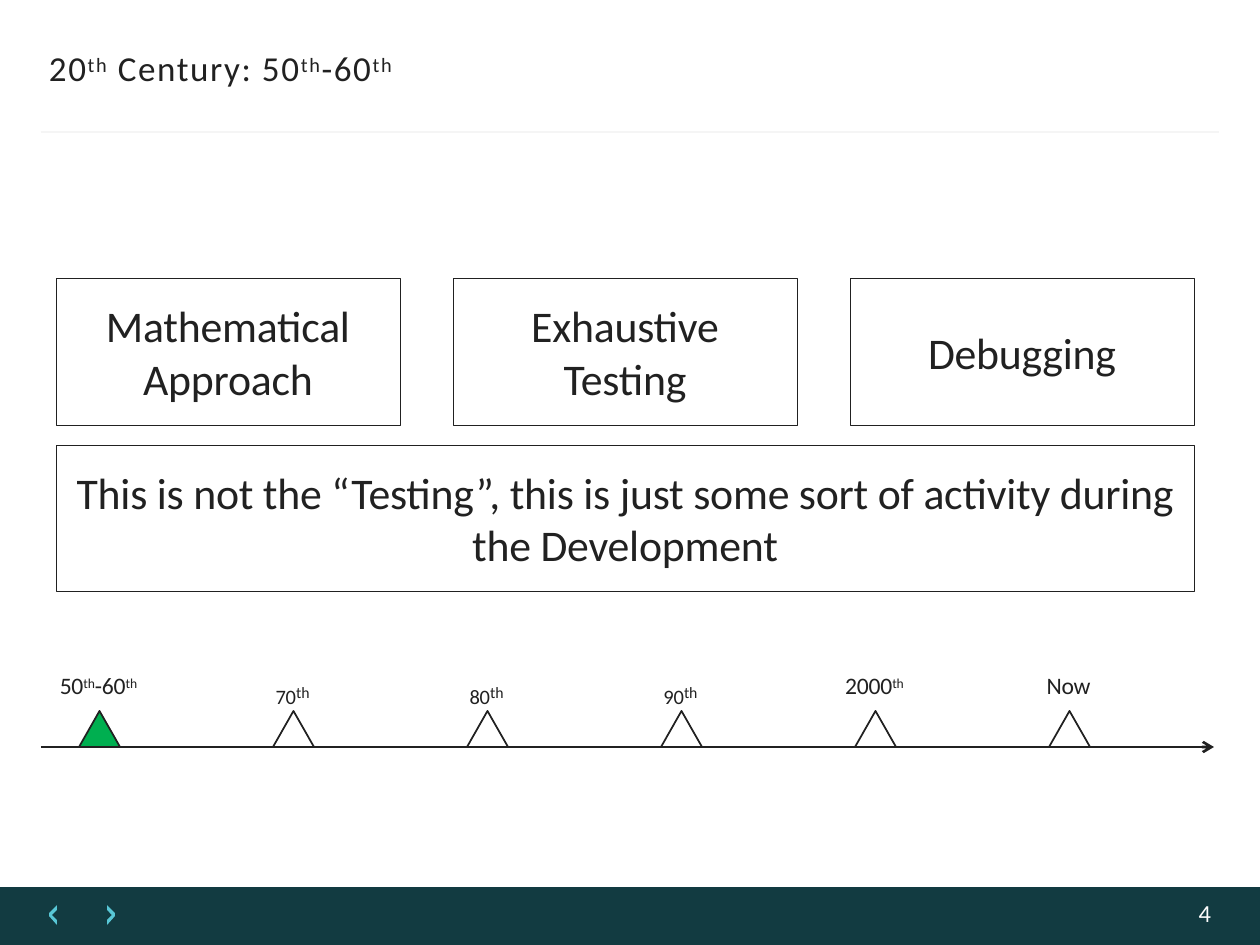
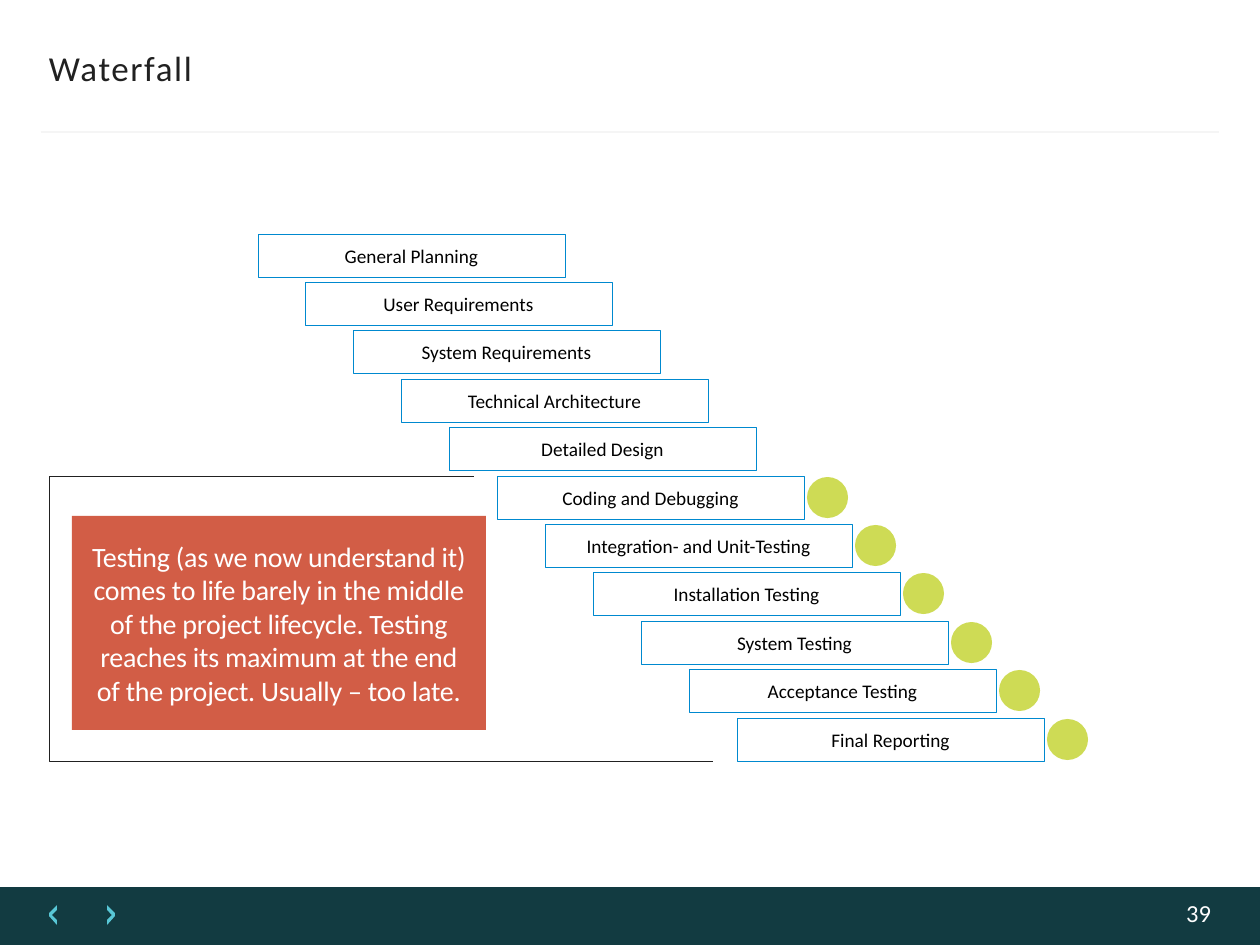
"""Build two software-testing slides: a history timeline and the waterfall model."""
from dataclasses import dataclass

from lxml.etree import SubElement
from pptx import Presentation
from pptx.dml.color import RGBColor
from pptx.enum.dml import MSO_LINE
from pptx.enum.shapes import MSO_CONNECTOR, MSO_SHAPE
from pptx.enum.text import MSO_ANCHOR, PP_ALIGN
from pptx.oxml.ns import qn
from pptx.util import Pt

HISTORY = {
    "title": "20^th^ Century: 50^th^-60^th^",
    "number": 4,
    "activities": ["Mathematical\nApproach", "Exhaustive\nTesting", "Debugging"],
    "verdict": "This is not the “Testing”, this is just some sort of activity during\nthe Development",
    "periods": ["50^th^-60^th^", "70^th^", "80^th^", "90^th^", "2000^th^", "Now"],
    "decades": ["70^th^", "80^th^", "90^th^"],
    "current": "50^th^-60^th^",
}
WATERFALL = {
    "title": "Waterfall",
    "number": 39,
    "stages": [
        "General Planning", "User Requirements", "System Requirements",
        "Technical Architecture", "Detailed Design", "Coding and Debugging",
        "Integration- and Unit-Testing", "Installation Testing", "System Testing",
        "Acceptance Testing", "Final Reporting",
    ],
    "first_tested": 5,
    "note": "Testing (as we now understand it)\ncomes to life barely in the middle\n"
            "of the project lifecycle. Testing\nreaches its maximum at the end\n"
            "of the project. Usually – too late.",
}
BRACKET = [(473, 476), (49, 476), (49, 761), (713, 761)]
CHEVRON = [(57, 905), (49, 913), (49, 916), (57, 925), (57, 920), (52, 915), (57, 910)]
CHEVRON_MIRROR = 164


@dataclass(frozen=True)
class TextStyle:
    """Size, colour, letter spacing in points, and baselines in percent."""
    size: float
    color: str
    spacing: float = 0
    baseline: int = 0
    suffix_size: float = 0
    suffix_baseline: int = 25


class Theme:
    """Colours, fonts and type sizes shared by the slides."""
    font = "Calibri"
    ink, white, band, chevron = "212121", "FFFFFF", "123B41", "58C7D6"
    rule, current, stage, alert, dot = "F5F5F5", "00AF50", "0089CF", "D25D46", "CEDB55"
    hairline, thin, medium = 0.25, 1, 1.5
    title = TextStyle(20, ink, 0.9, suffix_baseline=26)
    number = TextStyle(14, "FDFDFD")
    card = TextStyle(25, ink, -0.1)
    period = TextStyle(13.5, ink, -0.1)
    decade = TextStyle(20.2, ink, -0.1, -16, 9, 0)
    stage_text = TextStyle(11, "000000")
    note = TextStyle(16, white, -0.12)


PX = 914400 / 126


def px(*lengths):
    """Turn pixel lengths into EMU."""
    return [round(length * PX) for length in lengths]


def paint(shape, fill=None, line=None, width=Theme.hairline):
    """Set fill and outline, leaving out whichever is not given."""
    shape.shadow.inherit = False
    if fill:
        shape.fill.solid()
        shape.fill.fore_color.rgb = RGBColor.from_string(fill)
    else:
        shape.fill.background()
    if line:
        shape.line.color.rgb = RGBColor.from_string(line)
        shape.line.width = Pt(width)
    else:
        shape.line.fill.background()
    return shape


def write(box, text, style, align=PP_ALIGN.CENTER, anchor=MSO_ANCHOR.MIDDLE, top=0):
    """Write one paragraph; newlines break it and carets enclose suffixes."""
    frame = box.text_frame
    frame.word_wrap = True
    frame.vertical_anchor = anchor
    frame.margin_left = frame.margin_right = frame.margin_bottom = 0
    frame.margin_top = px(top)[0]
    para = frame.paragraphs[0]
    para.alignment = align
    para.font.name = Theme.font
    para.font.size = Pt(style.size)
    para.font.color.rgb = RGBColor.from_string(style.color)
    for row, line in enumerate(text.split("\n")):
        if row:
            para.add_line_break()
        for position, piece in enumerate(line.split("^")):
            if not piece:
                continue
            span = para.add_run()
            span.text = piece
            is_suffix = position % 2 == 1
            if is_suffix and style.suffix_size:
                span.font.size = Pt(style.suffix_size)
            properties = span._r.get_or_add_rPr()
            baseline = style.suffix_baseline if is_suffix else style.baseline
            if baseline:
                properties.set("baseline", str(baseline * 1000))
            if style.spacing:
                properties.set("spc", str(round(style.spacing * 100)))


def add_text(page, area, text, style, **layout):
    """Add a plain text box."""
    write(page.shapes.add_textbox(*px(*area)), text, style, **layout)


def add_preset(page, kind, area, **look):
    """Add a painted preset shape."""
    return paint(page.shapes.add_shape(kind, *px(*area)), **look)


def add_outline(page, points, closed, **look):
    """Add a freeform through the points."""
    builder = page.shapes.build_freeform(*points[0], scale=PX)
    builder.add_line_segments(points[1:], close=closed)
    return paint(builder.convert_to_shape(), **look)


def add_line(page, ends, color, width, arrow=False):
    """Add a straight line, with an open arrowhead if asked."""
    line = page.shapes.add_connector(MSO_CONNECTOR.STRAIGHT, *px(*ends))
    line.line.color.rgb = RGBColor.from_string(color)
    line.line.width = Pt(width)
    if arrow:
        SubElement(line.line._get_or_add_ln(), qn("a:tailEnd"), type="arrow")
    SubElement(line._element.spPr, qn("a:effectLst"))


def add_page(deck, content):
    """Add a slide with the shared title, rule and footer."""
    page = deck.slides.add_slide(deck.slide_layouts[6])
    add_preset(page, MSO_SHAPE.RECTANGLE, (0, 887, 1260, 58), fill=Theme.band)
    mirrored = [(CHEVRON_MIRROR - x, y) for x, y in CHEVRON]
    for points in (CHEVRON, mirrored):
        add_outline(page, points, True, fill=Theme.chevron)
    add_line(page, (41, 132, 1219, 132), Theme.rule, Theme.medium)
    add_text(page, (49, 44, 1160, 46), content["title"], Theme.title,
             align=PP_ALIGN.LEFT, anchor=MSO_ANCHOR.TOP, top=3)
    add_text(page, (1140, 899, 71, 28), str(content["number"]), Theme.number,
             align=PP_ALIGN.RIGHT)
    return page


def add_timeline(page, content):
    """Draw the arrow, its triangular markers and their labels."""
    add_line(page, (41, 747, 1214, 747), Theme.ink, Theme.medium, arrow=True)
    for index, period in enumerate(content["periods"]):
        left = 79 + 194 * index
        fill = Theme.current if period == content["current"] else Theme.white
        add_preset(page, MSO_SHAPE.ISOSCELES_TRIANGLE, (left, 711, 41, 36),
                   fill=fill, line=Theme.ink, width=Theme.thin)
        is_decade = period in content["decades"]
        add_text(page, (left - 41, 660 if is_decade else 668, 121, 32), period,
                 Theme.decade if is_decade else Theme.period,
                 anchor=MSO_ANCHOR.TOP, top=3)


def build_history(deck):
    """Build the slide on the first testing activities."""
    page = add_page(deck, HISTORY)
    cards = [((56 + 397 * column, 278, 344, 147), text)
             for column, text in enumerate(HISTORY["activities"])]
    cards.append(((56, 445, 1138, 146), HISTORY["verdict"]))
    for area, text in cards:
        card = add_preset(page, MSO_SHAPE.RECTANGLE, area, line=Theme.ink)
        write(card, text, Theme.card)
    add_timeline(page, HISTORY)


def build_waterfall(deck):
    """Build the slide with the staircase of project stages."""
    page = add_page(deck, WATERFALL)
    for index, text in enumerate(WATERFALL["stages"]):
        left, top = 258 + 479 * index // 10, 234 + 484 * index // 10
        stage = add_preset(page, MSO_SHAPE.RECTANGLE, (left, top, 307, 43), line=Theme.stage)
        write(stage, text, Theme.stage_text)
        if index >= WATERFALL["first_tested"]:
            add_preset(page, MSO_SHAPE.OVAL, (left + 310, top + 1, 41, 41), fill=Theme.dot)
    bracket = add_outline(page, BRACKET, False, line=Theme.ink)
    bracket.line.dash_style = MSO_LINE.ROUND_DOT
    note = add_preset(page, MSO_SHAPE.RECTANGLE, (72, 516, 414, 214), fill=Theme.alert)
    write(note, WATERFALL["note"], Theme.note)


def main():
    """Build and save the deck."""
    deck = Presentation()
    deck.slide_width, deck.slide_height = px(1260, 945)
    build_history(deck)
    build_waterfall(deck)
    deck.save("out.pptx")


if __name__ == "__main__":
    main()
